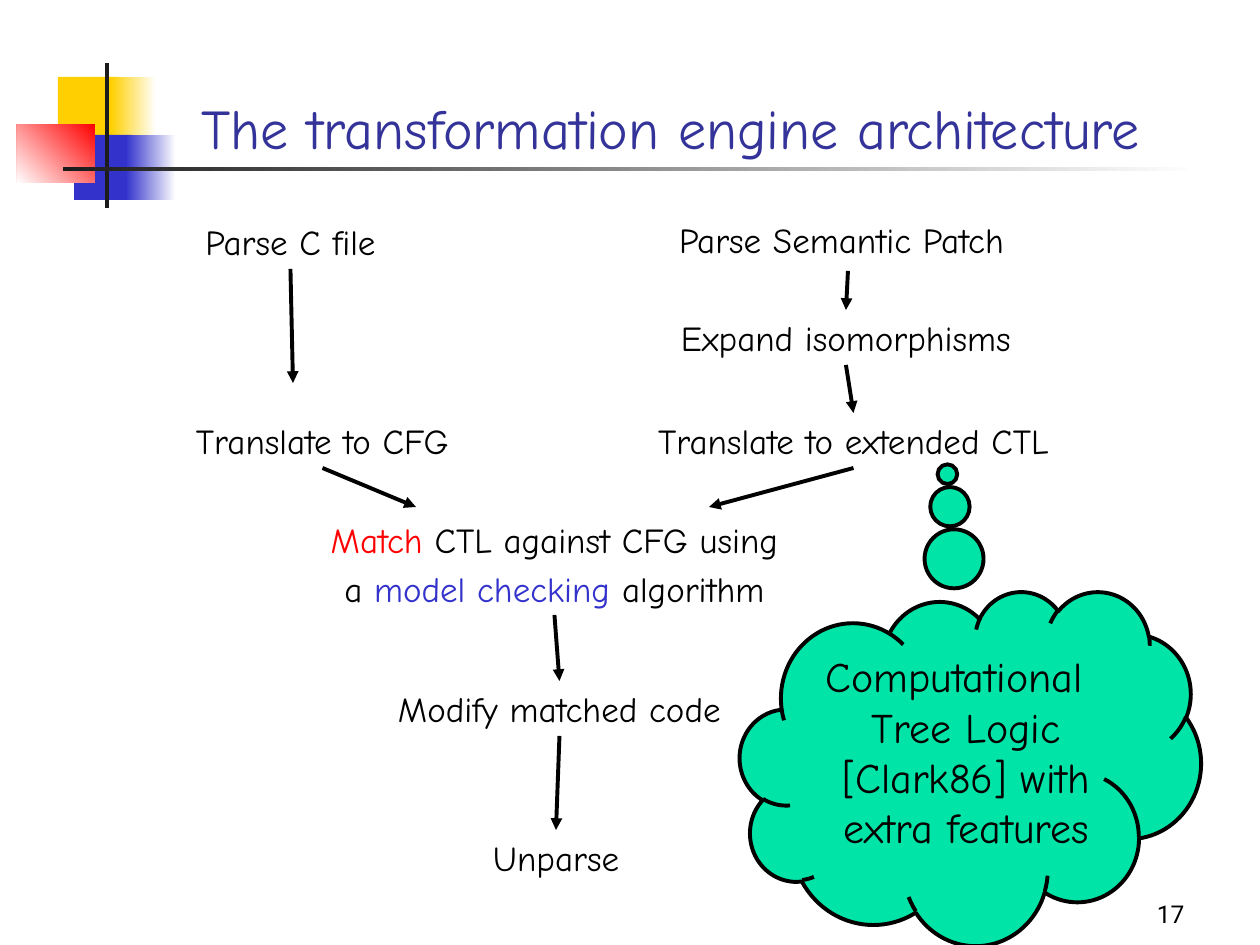
from lxml.etree import SubElement
from pptx import Presentation
from pptx.dml.color import RGBColor
from pptx.enum.shapes import MSO_CONNECTOR, MSO_SHAPE
from pptx.enum.text import MSO_ANCHOR, PP_ALIGN
from pptx.oxml.ns import qn
from pptx.util import Pt

PX = 914400 // 126
FONT = "Comic Neue"
BLACK, BLUE, GREEN = "000000", "3333CC", "00E4A8"


def color(hex_string):
    return RGBColor.from_string(hex_string)


def style(p, size, hex_string=BLACK, name=FONT, align=PP_ALIGN.CENTER):
    p.alignment = align
    for r in p.runs:
        r.font.size, r.font.name = Pt(size), name
        r.font.color.rgb = color(hex_string)


prs = Presentation()
prs.slide_width, prs.slide_height = 1260 * PX, 945 * PX
s = prs.slides.add_slide(prs.slide_layouts[5])

# Corner ornament: one colour is solid, two colours run along an angle
ornament = [
    (58, 77, 60, 65, ["FFCF01"], 0),
    (111, 77, 45, 65, ["FFFFFF", "FFCF01"], 180),
    (74, 135, 58, 65, [BLUE], 0),
    (126, 135, 50, 65, ["FFFFFF", BLUE], 180),
    (17, 124, 78, 59, ["FF0000", "FFFFFF"], 225),
    (105, 63, 4, 145, ["1C1C1C"], 0),
    (63, 167, 1134, 4, ["FFFFFF", "1C1C1C"], 180),
]
for x, y, w, h, colors, angle in ornament:
    sp = s.shapes.add_shape(MSO_SHAPE.RECTANGLE, x * PX, y * PX, w * PX, h * PX)
    sp.shadow.inherit = False
    sp.line.fill.background()
    if len(colors) == 1:
        sp.fill.solid()
        sp.fill.fore_color.rgb = color(colors[0])
    else:
        sp.fill.gradient()
        sp.fill.gradient_angle = angle
        for i, stop in enumerate(sp.fill.gradient_stops):
            stop.position = i
            stop.color.rgb = color(colors[i])

# Title
title = s.shapes.title
title.left, title.top, title.width, title.height = 189 * PX, 10 * PX, 1074 * PX, 157 * PX
tf = title.text_frame
tf.text = "The transformation engine architecture"
tf.vertical_anchor = MSO_ANCHOR.BOTTOM
style(tf.paragraphs[0], 32, "333399", align=PP_ALIGN.LEFT)

# Steps of the engine
steps = {
    "parse_c": (140, 214, 301, 55, "Parse C file"),
    "parse_patch": (612, 212, 459, 55, "Parse Semantic Patch"),
    "cfg": (164, 413, 317, 55, "Translate to CFG"),
    "ctl": (591, 413, 525, 55, "Translate to extended CTL"),
    "expand": (616, 310, 460, 55, "Expand isomorphisms"),
    "match": (292, 522, 525, 93, "Match CTL against CFG using\na model checking algorithm"),
    "modify": (333, 681, 453, 55, "Modify matched code"),
    "unparse": (428, 830, 256, 55, "Unparse"),
}
accents = {"Match": "FF0000", "model checking": BLUE}
boxes = {}
for key, (x, y, w, h, text) in steps.items():
    boxes[key] = s.shapes.add_textbox(x * PX, y * PX, w * PX, h * PX)
    tf = boxes[key].text_frame
    tf.word_wrap = True
    tf.text = text
    for p in tf.paragraphs:
        style(p, 20)

# Coloured words in the matching step
for i, p in enumerate(boxes["match"].text_frame.paragraphs):
    p.line_spacing = 0.75
    p.space_before = Pt(10 * i)
    line = p.text
    word = next(a for a in accents if a in line)
    before, after = line.split(word)
    p.text = ""
    for part in filter(None, (before, word, after)):
        p.add_run().text = part
    style(p, 20)
    for r in p.runs:
        r.font.color.rgb = color(accents.get(r.text, BLACK))

# Arrows: bottom of one step to top of the next, where they meet
arrows = [
    (291, 269, 293, 383, "parse_c", None),
    (848, 271, 847, 310, None, "expand"),
    (847, 365, 853, 413, "expand", "ctl"),
    (323, 468, 416, 507, "cfg", None),
    (853, 468, 709, 507, "ctl", None),
    (555, 615, 559, 681, "match", "modify"),
    (559, 736, 557, 830, "modify", "unparse"),
]
for x1, y1, x2, y2, start, end in arrows:
    arrow = s.shapes.add_connector(MSO_CONNECTOR.STRAIGHT, x1 * PX, y1 * PX, x2 * PX, y2 * PX)
    if start:
        arrow.begin_connect(boxes[start], 2)
    if end:
        arrow.end_connect(boxes[end], 0)
    arrow.line.color.rgb = color(BLACK)
    arrow.line.width = Pt(2.25)
    SubElement(arrow.line._get_or_add_ln(), qn("a:tailEnd"), type="triangle")
    SubElement(arrow._element.spPr, qn("a:effectLst"))

# Thought cloud about CTL
cloud = s.shapes.add_shape(MSO_SHAPE.CLOUD_CALLOUT, 740 * PX, 591 * PX, 461 * PX, 354 * PX)
cloud.adjustments[0], cloud.adjustments[1] = -0.05, -0.83
cloud.shadow.inherit = False
cloud.fill.solid()
cloud.fill.fore_color.rgb = color(GREEN)
cloud.line.color.rgb = color(BLACK)
cloud.line.width = Pt(2.25)
tf = cloud.text_frame
tf.word_wrap = True
tf.vertical_anchor = MSO_ANCHOR.TOP
tf.text = "Computational Tree Logic [Clark86] with extra features"
p = tf.paragraphs[0]
pPr = p._p.get_or_add_pPr()
pPr.set("marL", str(24 * PX))
pPr.set("indent", str(-24 * PX))
style(p, 24)

# Slide number
number = s.shapes.add_textbox(935 * PX, 872 * PX, 262 * PX, 63 * PX)
tf = number.text_frame
tf.word_wrap = True
tf.vertical_anchor = MSO_ANCHOR.BOTTOM
tf.text = "17"
style(tf.paragraphs[0], 14, name="Roboto", align=PP_ALIGN.RIGHT)

prs.save("out.pptx")
